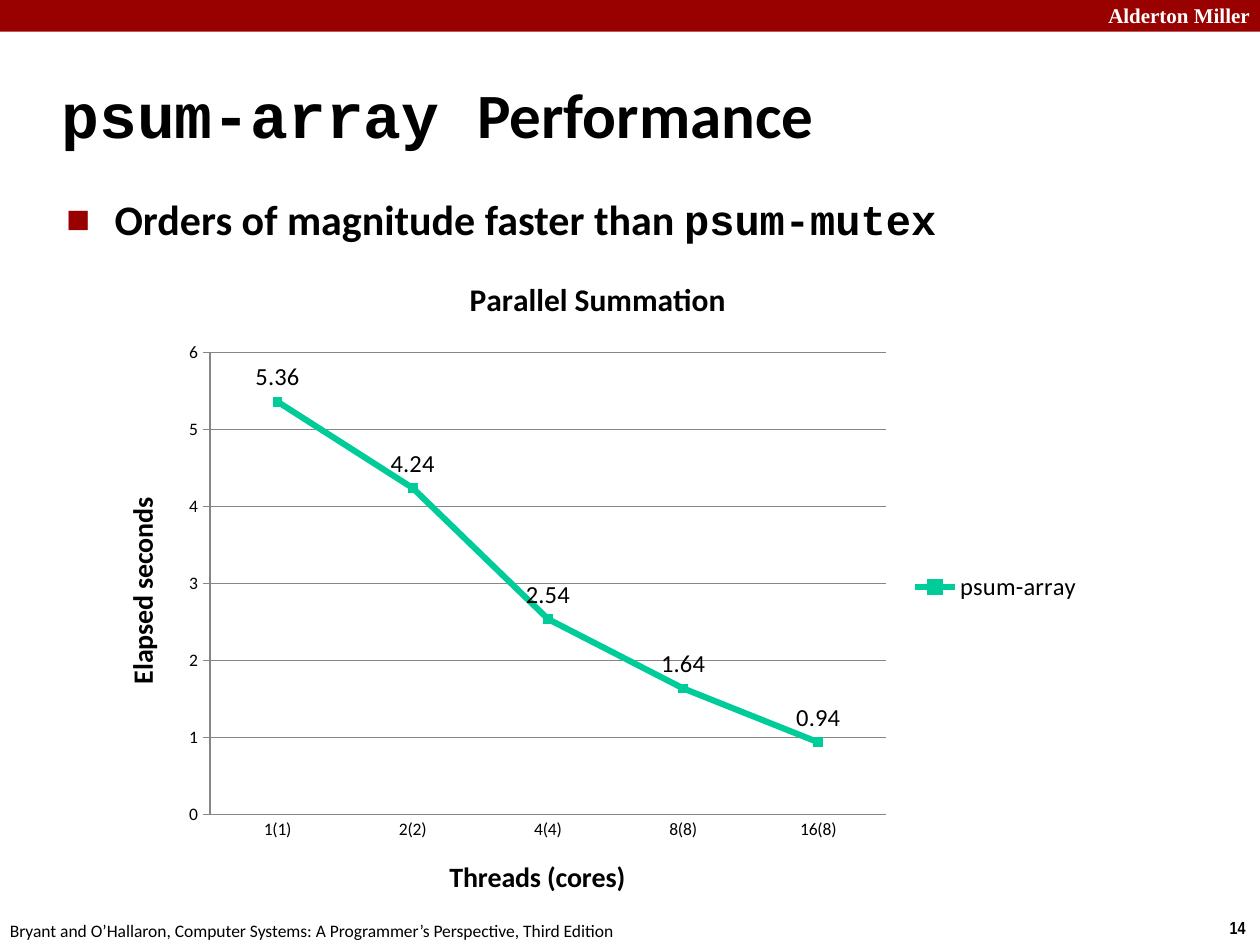
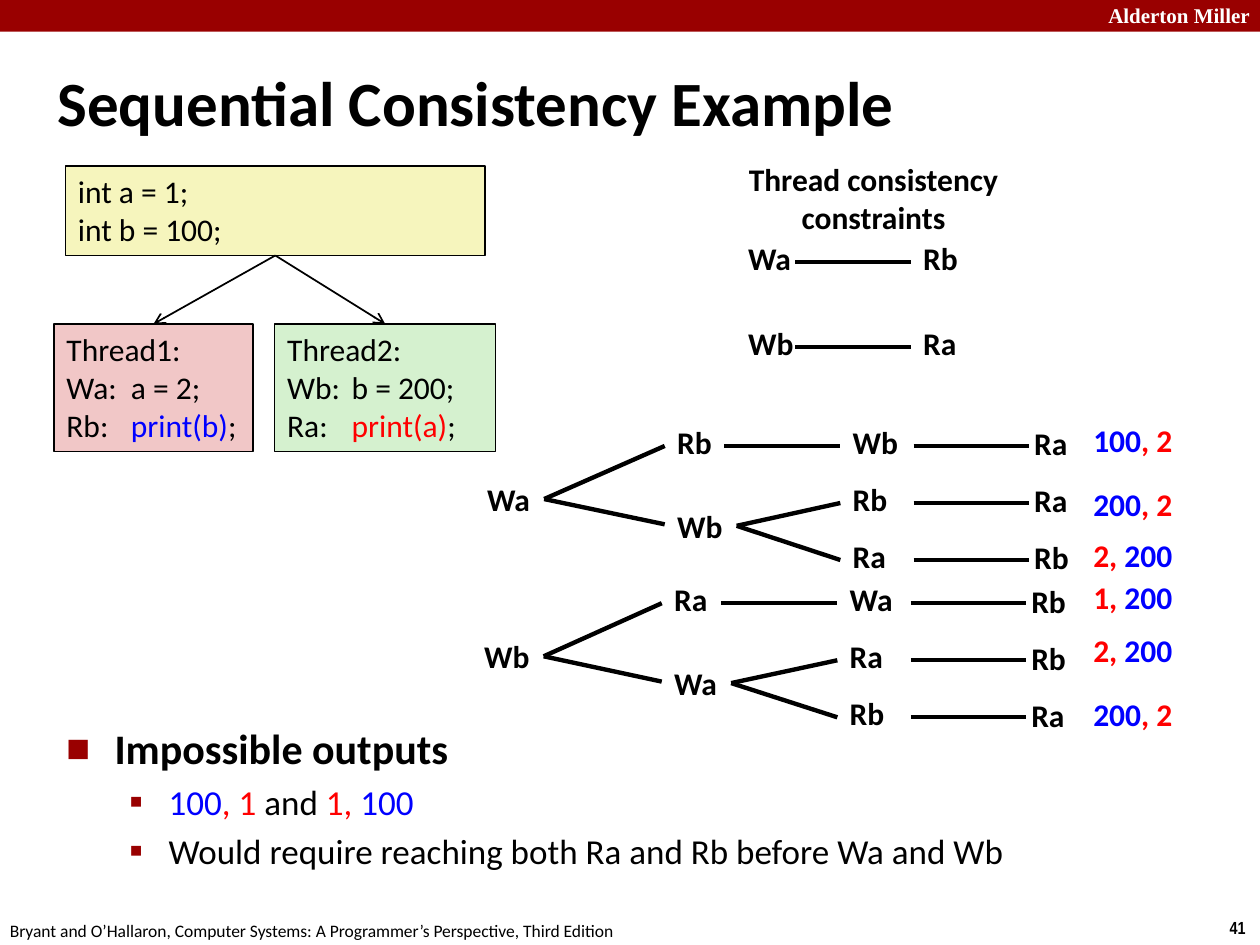
from lxml import etree
from pptx import Presentation
from pptx.chart.data import CategoryChartData
from pptx.dml.color import RGBColor
from pptx.enum.chart import (XL_CHART_TYPE, XL_LABEL_POSITION, XL_LEGEND_POSITION,
                             XL_MARKER_STYLE, XL_TICK_MARK)
from pptx.enum.shapes import MSO_CONNECTOR, MSO_SHAPE
from pptx.enum.text import MSO_ANCHOR, PP_ALIGN
from pptx.oxml import parse_xml
from pptx.oxml.ns import nsdecls, qn
from pptx.util import Cm, Pt

COLORS = {"black": "000000", "white": "FFFFFF", "band": "990000", "red": "FF0000",
          "blue": "0000FF", "yellow": "F6F5BD", "pink": "F1C7C7", "green": "D5F1CF",
          "series": "00CC99", "grid": "868686"}
RGB = {name: RGBColor.from_string(value) for name, value in COLORS.items()}
# level: character, percent, left margin, hanging indent, size, bold
BULLETS = [("■", 60, 0.97, 0.97, 24, True), ("▪", 110, 2.06, 0.79, 20, False)]
MONO = {"font": "Courier New"}
RED, BLUE = {"color": "red"}, {"color": "blue"}


def add_text(s, x, y, w, h, paras, size=18, font="Calibri", color="black", bold=False,
             align=None, anchor=MSO_ANCHOR.TOP, wrap=False, fill=None, tab=None, levels=None):
    """Add a text box, or a box with a fill; a run is a string or (string, format)."""
    if fill:
        sp = s.shapes.add_shape(MSO_SHAPE.RECTANGLE, Cm(x), Cm(y), Cm(w), Cm(h))
        sp.shadow.inherit = False
        sp.fill.solid()
        sp.fill.fore_color.rgb = RGB[fill]
        sp.line.color.rgb = RGB["black"]
        sp.line.width = Pt(0.75)
    else:
        sp = s.shapes.add_textbox(Cm(x), Cm(y), Cm(w), Cm(h))
    tf = sp.text_frame
    tf.word_wrap = wrap
    tf.vertical_anchor = anchor
    for i, runs in enumerate(paras):
        p = tf.paragraphs[0] if i == 0 else tf.add_paragraph()
        p.alignment = align or PP_ALIGN.LEFT
        pPr = p._p.get_or_add_pPr()
        if levels:
            char, percent, margin, hang, size, bold = BULLETS[levels[i]]
            p.level = levels[i]
            p.space_before = Pt(0.2 * size)
            pPr.set("marL", str(Cm(margin)))
            pPr.set("indent", str(-Cm(hang)))
            clr = etree.SubElement(pPr, qn("a:buClr"))
            etree.SubElement(clr, qn("a:srgbClr"), val=COLORS["band"])
            etree.SubElement(pPr, qn("a:buSzPct"), val=str(percent * 1000))
            etree.SubElement(pPr, qn("a:buFont"), typeface=font)
            etree.SubElement(pPr, qn("a:buChar"), char=char)
        if tab:
            tabs = etree.SubElement(pPr, qn("a:tabLst"))
            etree.SubElement(tabs, qn("a:tab"), pos=str(Cm(tab)), algn="l")
        for run in [runs] if isinstance(runs, str) else runs:
            content, fmt = (run, {}) if isinstance(run, str) else run
            r = p.add_run()
            r.text = content
            r.font.size = Pt(size)
            r.font.bold = bold
            r.font.name = fmt.get("font", font)
            r.font.color.rgb = RGB[fmt.get("color", color)]
    return sp


def add_line(s, x1, y1, x2, y2, width=2.5, start=None):
    """Add a line, joined to the right side of start if that is given."""
    c = s.shapes.add_connector(MSO_CONNECTOR.STRAIGHT, Cm(x1), Cm(y1), Cm(x2), Cm(y2))
    c.line.color.rgb = RGB["black"]
    c.line.width = Pt(width)
    etree.SubElement(c._element.spPr, qn("a:effectLst"))
    if start is not None:
        c.begin_connect(start, 3)
    return c


prs = Presentation()
prs.slide_width, prs.slide_height = Cm(25.4), Cm(19.05)

# Band, header, footer and title
titles = [("14", 0.99, 1.22, [("psum-array ", MONO), "Performance"]),
          ("41", 0.91, 0.99, "Sequential Consistency Example")]
for number, x, y, title in titles:
    s = prs.slides.add_slide(prs.slide_layouts[6])
    band = s.shapes.add_shape(MSO_SHAPE.RECTANGLE, 0, 0, prs.slide_width, Cm(0.64))
    band.shadow.inherit = False
    band.fill.solid()
    band.fill.fore_color.rgb = RGB["band"]
    band.line.fill.background()
    add_text(s, 21.95, -0.08, 3.5, 0.76, ["Alderton Miller"], size=12,
             font="Times New Roman", color="white", bold=True, align=PP_ALIGN.RIGHT)
    add_text(s, 24.54, 18.36, 0.86, 0.69, [number], size=10, font="Arial Narrow", bold=True)
    add_text(s, -0.05, 18.42, 12.9, 0.69,
             ["Bryant and O’Hallaron, Computer Systems: A Programmer’s Perspective, Third Edition"],
             size=10)
    add_text(s, x, y, 21.08, 2.11, [title], size=36, bold=True,
             anchor=MSO_ANCHOR.MIDDLE, wrap=True)

# Slide 1: performance chart
s = prs.slides[0]
add_text(s, 1.09, 3.78, 21.95, 2.13,
         [["Orders of magnitude faster than ", ("psum-mutex", MONO)]], wrap=True, levels=[0])

data = CategoryChartData()
data.categories = ["1(1)", "2(2)", "4(4)", "8(8)", "16(8)"]
data.add_series("psum-array", [5.36, 4.24, 2.54, 1.64, 0.94])
chart = s.shapes.add_chart(XL_CHART_TYPE.LINE_MARKERS, Cm(2.03), Cm(5.08),
                           Cm(20.04), Cm(13.51), data).chart
chart.font.name = "Calibri"
chart.font.size = Pt(10)
chart.font.color.rgb = RGB["black"]
chart.has_title = True
cat_axis, val_axis = chart.category_axis, chart.value_axis
for owner, caption, size in [(chart, "Parallel Summation", 18),
                             (cat_axis, "Threads (cores)", 16),
                             (val_axis, "Elapsed seconds", 16)]:
    title = owner.chart_title if owner is chart else owner.axis_title
    r = title.text_frame.paragraphs[0].add_run()
    r.text = caption
    r.font.name = "Calibri"
    r.font.size = Pt(size)
    r.font.bold = True
    r.font.color.rgb = RGB["black"]

cat_axis.major_tick_mark = XL_TICK_MARK.NONE
val_axis.major_tick_mark = XL_TICK_MARK.OUTSIDE
val_axis.minimum_scale, val_axis.maximum_scale, val_axis.major_unit = 0, 6, 1
val_axis.has_major_gridlines = True
for fmt in (cat_axis.format, val_axis.format, val_axis.major_gridlines.format):
    fmt.line.color.rgb = RGB["grid"]
    fmt.line.width = Pt(0.75)

chart.has_legend = True
chart.legend.position = XL_LEGEND_POSITION.RIGHT
chart.legend.include_in_layout = False
chart.legend.font.size = Pt(14)

plot = chart.plots[0]
plot.vary_by_categories = False
series = plot.series[0]
series.smooth = False
series.format.line.color.rgb = RGB["series"]
series.format.line.width = Pt(3.5)
series.marker.style = XL_MARKER_STYLE.SQUARE
series.marker.size = 5
series.marker.format.fill.solid()
series.marker.format.fill.fore_color.rgb = RGB["series"]
series.marker.format.line.color.rgb = RGB["series"]
labels = series.data_labels
labels.show_value = True
labels.position = XL_LABEL_POSITION.ABOVE
labels.font.size = Pt(14)

plot_area = chart._chartSpace.chart.plotArea
for old in plot_area.findall(qn("c:layout")):
    plot_area.remove(old)
plot_area.insert(0, parse_xml(
    f'<c:layout {nsdecls("c")}><c:manualLayout><c:layoutTarget val="inner"/>'
    '<c:xMode val="edge"/><c:yMode val="edge"/><c:x val="0.11"/><c:y val="0.15"/>'
    '<c:w val="0.68"/><c:h val="0.69"/></c:manualLayout></c:layout>'))

# Slide 2: sequential consistency
s = prs.slides[1]
add_text(s, 1.09, 14.45, 21.95, 2.13,
         ["Impossible outputs",
          [("100", BLUE), (", 1 ", RED), "and ", ("1, ", RED), ("100", BLUE)],
          "Would require reaching both Ra and Rb before Wa and Wb"],
         wrap=True, levels=[0, 1, 1])

# Program and its two threads
program = add_text(s, 1.32, 3.35, 8.46, 1.8, ["int a = 1;", "int b = 100;"],
                   fill="yellow", wrap=True)
threads = [(1.09, 4.01, "pink", ["Thread1:", "Wa:\ta = 2;",
                                 ["Rb:\t", ("print(b)", BLUE), ";"]]),
           (5.54, 4.45, "green", ["Thread2:", "Wb:\tb = 200;",
                                  ["Ra:\t", ("print(a)", RED), ";"]])]
for x, w, fill, code in threads:
    thread = add_text(s, x, 6.53, w, 2.57, code, fill=fill, wrap=True, tab=1.3)
    arrow = add_line(s, 5.55, 5.15, x + w / 2, 6.53, width=1)
    arrow.begin_connect(program, 2)
    arrow.end_connect(thread, 0)
    etree.SubElement(arrow.line._get_or_add_ln(), qn("a:tailEnd"), type="arrow")

# Ordering constraints inside each thread
WIDTHS = {"Wa": 1.4, "Wb": 1.45, "Ra": 1.2, "Rb": 1.22}
add_text(s, 14.83, 3.1, 5.56, 1.8, ["Thread consistency", "constraints"],
         bold=True, align=PP_ALIGN.CENTER)
for y, first, second in [(4.7, "Wa", "Rb"), (6.41, "Wb", "Ra")]:
    add_text(s, 14.83, y, WIDTHS[first], 1.02, [first], bold=True)
    add_text(s, 18.36, y, WIDTHS[second], 1.02, [second], bold=True)
    add_line(s, 16.03, y + 0.58, 18.36, y + 0.58)

# Tree of possible interleavings: root, upper child, lower child, then one pair per row
trees = [("Wa", "Rb", "Wb", [("Wb", "Ra"), ("Rb", "Ra"), ("Ra", "Rb")]),
         ("Wb", "Ra", "Wa", [("Wa", "Rb"), ("Ra", "Rb"), ("Rb", "Ra")])]
ROW, MID = 1.15, 0.59
for i, (root, upper, lower, rows) in enumerate(trees):
    dx, top = -0.06 * i, 8.4 + 3.17 * i
    nodes = [add_text(s, x + dx, top + y, WIDTHS[name], 1.02, [name], bold=True)
             for name, x, y in [(root, 9.57, ROW), (upper, 13.4, 0), (lower, 13.4, 1.69)]]
    for y in (MID, 2.17):
        add_line(s, 10.97, top + 1.66, 13.4 + dx, top + y, start=nodes[0])
    for j, (third, fourth) in enumerate(rows):
        y = top + ROW * j
        add_text(s, 16.94 + dx, y, WIDTHS[third], 1.02, [third], bold=True)
        add_text(s, 20.6 + dx, y + 0.03, WIDTHS[fourth], 1.02, [fourth], bold=True)
        add_line(s, 18.42 + dx, y + MID, 20.75 + dx, y + MID)
        if j == 0:
            add_line(s, 14.6 + dx, y + MID, 16.94 + dx, y + MID)
        else:
            add_line(s, 14.83, top + 2.19, 16.94 + dx, y + MID, start=nodes[2])

# Printed output of each interleaving
outputs = [(8.36, ("100", BLUE), (", 2", RED)), (9.65, ("200", BLUE), (", 2", RED)),
           (10.69, ("2, ", RED), ("200", BLUE)), (11.53, ("1, ", RED), ("200", BLUE)),
           (12.6, ("2, ", RED), ("200", BLUE)), (13.89, ("200", BLUE), (", 2", RED))]
for y, *runs in outputs:
    add_text(s, 21.79, y, 2.13, 1.02, [runs], bold=True)

prs.save("out.pptx")
